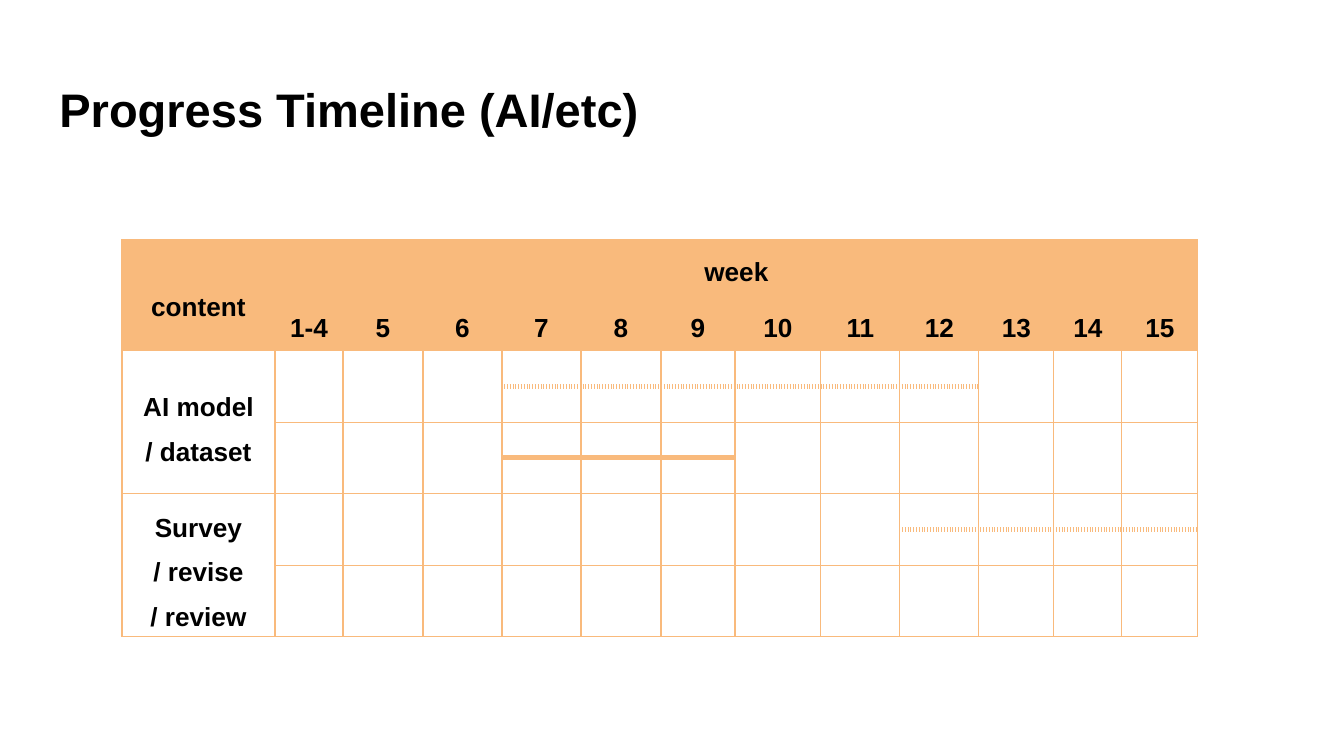
"""Build a slide with a weekly progress timeline drawn as a table."""
from lxml import etree
from pptx import Presentation, util as u
from pptx.dml.color import RGBColor
from pptx.enum import text
from pptx.oxml.ns import qn

PX = 6804
ORANGE, BLACK = "F9BA7C", "000000"
TITLE = "Progress Timeline (AI/etc)"
WEEKS = ["1-4", *(str(week) for week in range(5, 16))]
TASKS = [["AI model", "/ dataset"], ["Survey", "/ revise", "/ review"]]
BARS = {0: ("7", "12", "dot"), 1: ("7", "9", "solid"), 2: ("12", "15", "dot")}
COLUMNS = [153, 68, 80, 79, 79, 80, 74, 86, 79, 79, 75, 68, 76]
ROWS = [52, 55] + [36, 36, 35, 36, 36, 36, 36, 35]
LEFT, TOP = 122, 240
HEADER_ROWS, LANE_ROWS, TASK_ROWS = 2, 2, 4


def px(value):
    return u.Emu(value * PX)


def color(value):
    return RGBColor.from_string(value)


def style_font(font, size):
    font.name, font.size, font.bold = "Arial", u.Pt(size), True
    font.color.rgb = color(BLACK)


def set_border(cell, side, width=0.75, dash="solid"):
    properties = cell._tc.get_or_add_tcPr()
    line = etree.SubElement(properties, qn(f"a:ln{side}"), w=str(u.Pt(width)))
    fill = etree.SubElement(line, qn("a:solidFill"))
    etree.SubElement(fill, qn("a:srgbClr"), val=ORANGE)
    etree.SubElement(line, qn("a:prstDash"), val=dash)


def write(cell, lines, spacing, hanging=False):
    cell.text = "\n".join(lines)
    for paragraph in cell.text_frame.paragraphs:
        if hanging:
            properties = paragraph._p.get_or_add_pPr()
            properties.set("marL", str(u.Inches(0.15)))
            properties.set("indent", str(-u.Inches(0.15)))
        paragraph.alignment = text.PP_ALIGN.CENTER
        paragraph.line_spacing = spacing
        style_font(paragraph.font, 14)


def bar_at(lane, column):
    if lane in BARS and column > 0:
        first, last, dash = BARS[lane]
        if WEEKS.index(first) < column <= WEEKS.index(last) + 1:
            return dash
    return None


def style_cell(cell, row, column):
    lane, half = divmod(row - HEADER_ROWS, LANE_ROWS)
    dash = bar_at(lane, column)
    for side in "LRTB":
        if dash and side == "BT"[half]:
            set_border(cell, side, 3, dash)
        else:
            set_border(cell, side)
    if row < HEADER_ROWS:
        cell.fill.solid()
        cell.fill.fore_color.rgb = color(ORANGE)
    else:
        cell.fill.background()
    cell.vertical_anchor = text.MSO_ANCHOR.MIDDLE
    cell.margin_left = cell.margin_right = u.Inches(0.02)
    cell.margin_top = cell.margin_bottom = u.Inches(0.02)
    if not cell.text:
        paragraph = cell.text_frame.paragraphs[0]
        etree.SubElement(paragraph._p, qn("a:endParaRPr"), sz="800")


def add_title(slide):
    title = slide.shapes.title
    title.left, title.top, title.width, title.height = map(px, (46, 66, 1252, 85))
    frame = title.text_frame
    frame.text = TITLE
    frame.word_wrap = True
    frame.vertical_anchor = text.MSO_ANCHOR.MIDDLE
    frame.margin_left = frame.margin_right = u.Inches(0.1)
    frame.margin_top = frame.margin_bottom = u.Inches(0.1)
    paragraph = frame.paragraphs[0]
    paragraph.alignment = text.PP_ALIGN.LEFT
    style_font(paragraph.font, 25.2)


def add_timeline(slide):
    frame = slide.shapes.add_table(len(ROWS), len(COLUMNS), px(LEFT), px(TOP),
                                   px(sum(COLUMNS)), px(sum(ROWS)))
    table = frame.table
    table.first_row = table.horz_banding = False
    for column, width in zip(table.columns, COLUMNS):
        column.width = px(width)
    for row, height in zip(table.rows, ROWS):
        row.height = px(height)

    write(table.cell(0, 0), ["content"], 1.82)
    write(table.cell(0, 1), ["week"], 1.45)
    for column, week in enumerate(WEEKS, 1):
        write(table.cell(1, column), [week], 1.45)
    for task, lines in enumerate(TASKS):
        write(table.cell(HEADER_ROWS + task * TASK_ROWS, 0), lines, 1.53, hanging=True)

    for row in range(len(ROWS)):
        for column in range(len(COLUMNS)):
            style_cell(table.cell(row, column), row, column)

    table.cell(0, 0).merge(table.cell(1, 0))
    table.cell(0, 1).merge(table.cell(0, len(WEEKS)))
    for top in range(HEADER_ROWS, len(ROWS), TASK_ROWS):
        table.cell(top, 0).merge(table.cell(top + TASK_ROWS - 1, 0))
    for top in range(HEADER_ROWS, len(ROWS), LANE_ROWS):
        for column in range(1, len(COLUMNS)):
            if not bar_at((top - HEADER_ROWS) // LANE_ROWS, column):
                table.cell(top, column).merge(table.cell(top + 1, column))


def main():
    presentation = Presentation()
    presentation.slide_width, presentation.slide_height = px(1344), px(756)
    slide = presentation.slides.add_slide(presentation.slide_layouts[5])
    add_title(slide)
    add_timeline(slide)
    presentation.save("out.pptx")


if __name__ == "__main__":
    main()
